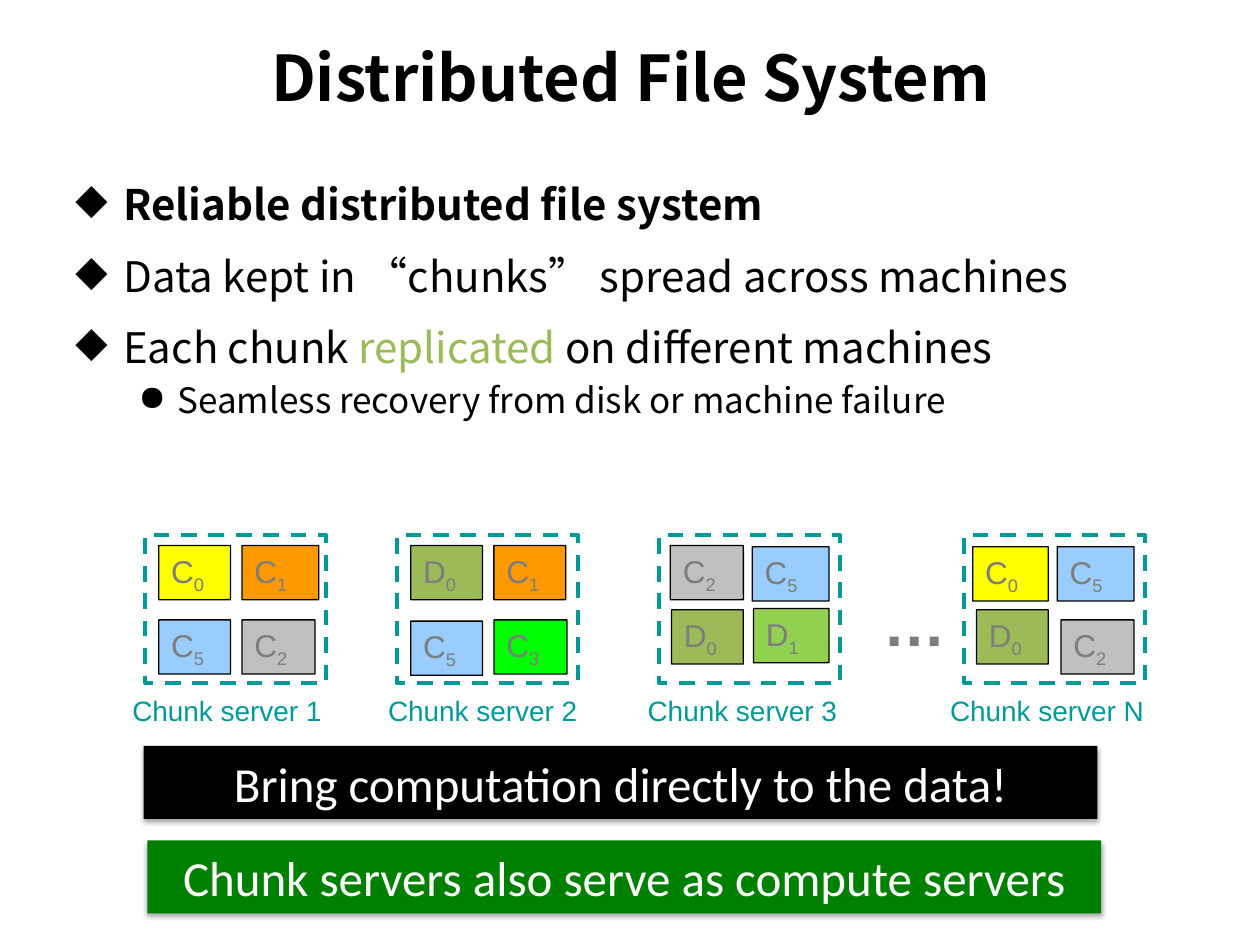
from lxml import etree
from pptx import Presentation
from pptx import util as u
from pptx.dml.color import RGBColor
from pptx.enum import dml, shapes, text
from pptx.oxml import ns

In, Pt = u.Inches, u.Pt
HUES = {
    "black": "000000", "white": "FFFFFF", "gray": "7D7D7D", "teal": "009999",
    "yellow": "FFFF00", "orange": "FF9900", "silver": "C0C0C0", "sky": "99CCFF",
    "olive": "9BBB59", "lime": "92D050", "neon": "00FF00", "green": "008000",
}
NOTO = "Noto Sans CJK SC"


def hue(name):
    return RGBColor.from_string(HUES[name])


def write(par, words, size=18, font="Arial", color="gray", bold=False, base=0):
    run = par.add_run()
    run.text = words
    run.font.size, run.font.name, run.font.bold = Pt(size), font, bold
    run.font.color.rgb = hue(color)
    props = run.font._element
    if base:
        props.set("baseline", str(base * 1000))
    if font == NOTO:
        etree.SubElement(props, ns.qn("a:ea"), typeface=font)


def block(x, y, wide, high, fill=None, line=None, width=0.75, kind="RECTANGLE"):
    """Add a shape with its fill and line, or a plain text box if it has neither."""
    if fill or line:
        form = getattr(shapes.MSO_SHAPE, kind)
        box = art.add_shape(form, In(x), In(y), In(wide), In(high))
        box.shadow.inherit = False
        if fill:
            box.fill.solid()
            box.fill.fore_color.rgb = hue(fill)
        else:
            box.fill.background()
        if line:
            box.line.color.rgb = hue(line)
            box.line.width = Pt(width)
        else:
            box.line.fill.background()
    else:
        box = art.add_textbox(In(x), In(y), In(wide), In(high))
    frame = box.text_frame
    frame.word_wrap = True
    frame.vertical_anchor = text.MSO_ANCHOR.TOP
    frame.paragraphs[0].alignment = text.PP_ALIGN.LEFT
    return box


deck = Presentation()
deck.slide_width, deck.slide_height = In(10), In(7.5)
art = deck.slides.add_slide(deck.slide_layouts[6]).shapes

# Title
frame = block(0.51, 0.12, 8.99, 0.97).text_frame
frame.vertical_anchor = text.MSO_ANCHOR.MIDDLE
frame.paragraphs[0].alignment = text.PP_ALIGN.CENTER
write(frame.paragraphs[0], "Distributed File System", size=36, font=NOTO,
      color="black", bold=True)

# Bullets: level, then runs of words, color and bold
points = [
    (0, [("Reliable distributed file system", "black", True)]),
    (0, [("Data kept in “chunks” spread across machines", "black", False)]),
    (0, [("Each chunk ", "black", False), ("replicated", "olive", False),
         (" on different machines", "black", False)]),
    (1, [("Seamless recovery from disk or machine failure", "black", False)]),
]
frame = block(0.5, 1.27, 9, 2.5).text_frame
for i, (level, runs) in enumerate(points):
    par = frame.add_paragraph() if i else frame.paragraphs[0]
    par.level = level
    if level == 0:
        par.line_spacing = Pt(36)
    if i:
        par.space_before = Pt(4 if level else 4.8)
    props = par._p.get_or_add_pPr()
    props.set("marL", str(In(0.81 if level else 0.38)))
    props.set("indent", str(In(-0.31 if level else -0.38)))
    etree.SubElement(props, ns.qn("a:buChar"), char="●" if level else "◆")
    for words, color, bold in runs:
        write(par, words, size=20 if level else 24, font=NOTO, color=color, bold=bold)

# Chunk servers: name, frame left, label left, chunks (x, y, width, name, fill)
servers = [
    ("1", 1.15, 1.0, [(1.26, 4.33, 0.57, "C0", "yellow"), (1.92, 4.33, 0.61, "C1", "orange"),
                      (1.26, 4.92, 0.57, "C5", "sky"), (1.92, 4.92, 0.58, "C2", "silver")]),
    ("2", 3.15, 3.03, [(3.26, 4.33, 0.57, "D0", "olive"), (3.92, 4.33, 0.57, "C1", "orange"),
                       (3.26, 4.93, 0.57, "C5", "sky"), (3.92, 4.92, 0.58, "C3", "neon")]),
    ("3", 5.23, 5.09, [(5.32, 4.33, 0.58, "C2", "silver"), (5.97, 4.34, 0.61, "C5", "sky"),
                       (5.33, 4.84, 0.57, "D0", "olive"), (5.98, 4.83, 0.6, "D1", "lime")]),
    ("N", 7.65, 7.49, [(7.72, 4.34, 0.6, "C0", "yellow"), (8.39, 4.34, 0.61, "C5", "sky"),
                       (7.75, 4.84, 0.57, "D0", "olive"), (8.42, 4.92, 0.58, "C2", "silver")]),
]
for name, left, start, chunks in servers:
    edge = block(left, 4.25, 1.44, 1.17, line="teal", width=2.25)
    edge.line.dash_style = dml.MSO_LINE.DASH
    for x, y, wide, code, fill in chunks:
        chunk = block(x, y, wide, 0.43, fill, "black", kind="ROUNDED_RECTANGLE")
        chunk.adjustments[0] = 0.004
        par = chunk.text_frame.paragraphs[0]
        write(par, code[0])
        write(par, code[1], base=-25)
    label = block(start, 5.4, 1.7, 0.47).text_frame
    label.margin_left = In(0.05)
    label.vertical_anchor = text.MSO_ANCHOR.MIDDLE
    write(label.paragraphs[0], "Chunk server " + name, size=16, color="teal")

# Gap between the third and the last server
dots = block(6.91, 4.58, 0.7, 0.66).text_frame
write(dots.paragraphs[0], "…", size=36, bold=True)

# Banners with a soft shadow
banners = [
    (1.14, 5.92, "black", "Bring computation directly to the data!"),
    (1.17, 6.67, "green", "Chunk servers also serve as compute servers"),
]
for x, y, fill, words in banners:
    bar = block(x, y, 7.57, 0.58, fill)
    glow = bar._element.spPr.find(ns.qn("a:effectLst"))
    shade = etree.SubElement(glow, ns.qn("a:outerShdw"), blurRad=str(Pt(3.1)),
                             dist=str(Pt(1.8)), dir="5400000", rotWithShape="0")
    tone = etree.SubElement(shade, ns.qn("a:srgbClr"), val=HUES["black"])
    etree.SubElement(tone, ns.qn("a:alpha"), val="35000")
    bar.text_frame.vertical_anchor = text.MSO_ANCHOR.MIDDLE
    par = bar.text_frame.paragraphs[0]
    par.alignment = text.PP_ALIGN.CENTER
    write(par, words, size=28, font="Calibri", color="white")

deck.save("out.pptx")
